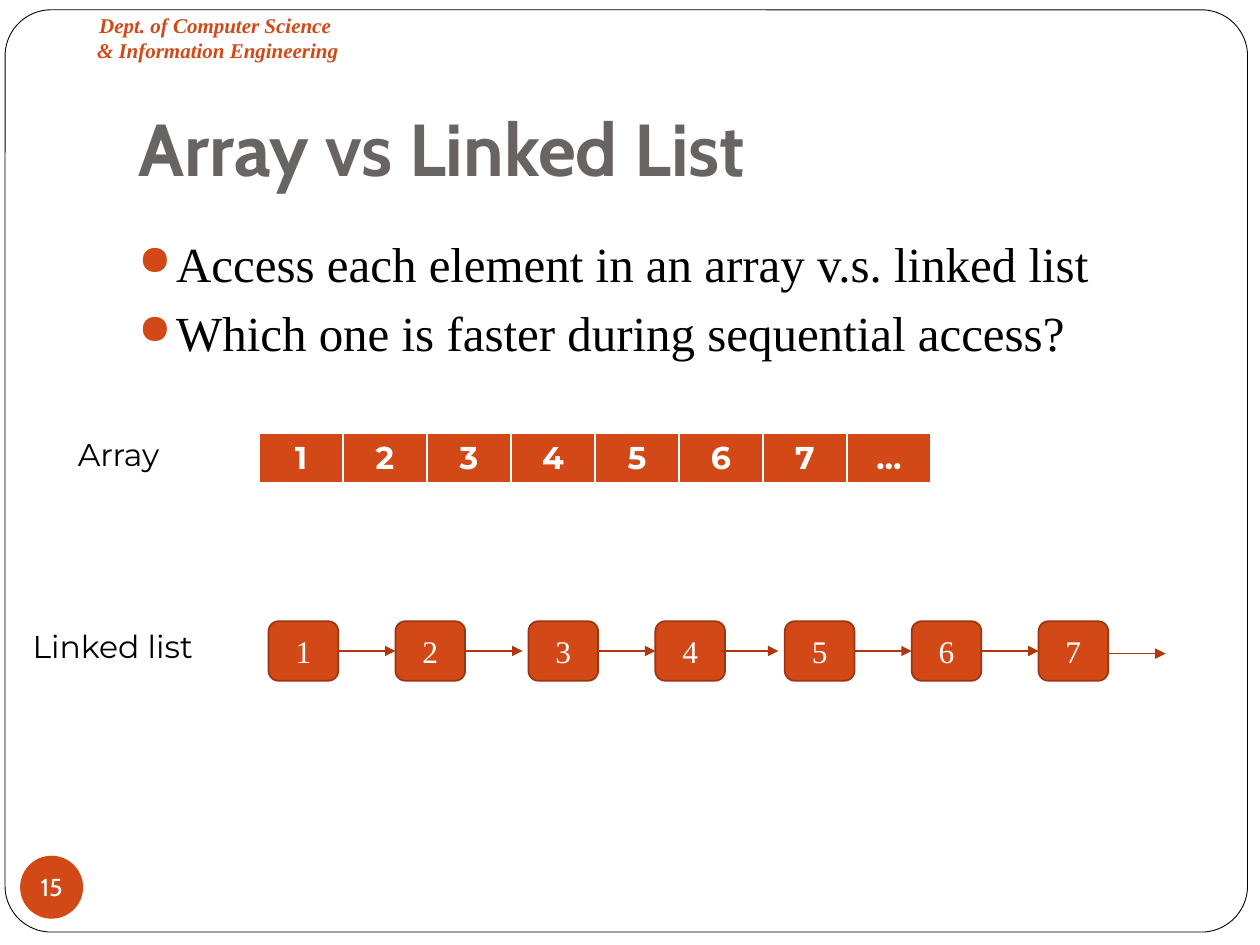
"""Build the slide comparing an array with a linked list."""
from lxml.etree import SubElement
from pptx import Presentation
from pptx.dml.color import RGBColor
from pptx.enum.shapes import MSO_CONNECTOR, MSO_SHAPE
from pptx.enum.text import MSO_ANCHOR, MSO_AUTO_SIZE, PP_ALIGN
from pptx.oxml.ns import qn
from pptx.util import Pt

ORANGE = RGBColor(0xD3, 0x48, 0x17)
NODE_EDGE = RGBColor(0x9C, 0x35, 0x11)
ARROW = RGBColor(0xB1, 0x36, 0x0B)
GRAY = RGBColor(0x69, 0x64, 0x64)
BLACK = RGBColor(0, 0, 0)
WHITE = RGBColor(0xFF, 0xFF, 0xFF)
SERIF = "Times New Roman"


def add_run(paragraph, text, font, size, color, bold=False):
    run = paragraph.add_run()
    run.text = text
    run.font.name = font
    run.font.size = Pt(size)
    run.font.color.rgb = color
    run.font.bold = bold
    return run


def add_panel(kind, left, top, width, height, fill):
    panel = slide.shapes.add_shape(kind, Pt(left), Pt(top), Pt(width), Pt(height))
    panel.shadow.inherit = False
    panel.fill.solid()
    panel.fill.fore_color.rgb = fill
    return panel


prs = Presentation()
prs.slide_width, prs.slide_height = Pt(720), Pt(540)
slide = prs.slides.add_slide(prs.slide_layouts[6])

border = add_panel(MSO_SHAPE.ROUNDED_RECTANGLE, 2.9, 5.6, 710, 527, WHITE)
border.adjustments[0] = 0.05
border.line.color.rgb = BLACK
border.line.width = Pt(0.5)

department = slide.shapes.add_textbox(Pt(42.5), Pt(3.6), Pt(164), Pt(36)).text_frame
department.word_wrap = True
department.auto_size = MSO_AUTO_SIZE.SHAPE_TO_FIT_TEXT
department_lines = department.paragraphs[0]
department_lines.alignment = PP_ALIGN.CENTER
add_run(department_lines, "Dept. of Computer Science ", SERIF, 12, ORANGE, True).font.italic = True
department_lines.add_line_break()
add_run(department_lines, "& Information Engineering", SERIF, 12, ORANGE, True).font.italic = True

title = slide.shapes.add_textbox(Pt(72), Pt(36.7), Pt(612), Pt(80)).text_frame
title.word_wrap = True
title.vertical_anchor = MSO_ANCHOR.BOTTOM
title.margin_bottom = Pt(7.2)
add_run(title.paragraphs[0], "Array vs Linked List", "Cabin", 42, GRAY, True)

points = slide.shapes.add_textbox(Pt(72), Pt(125.3), Pt(612), Pt(111)).text_frame
points.word_wrap = True
points.margin_top = Pt(8)
for index, point in enumerate(["Access each element in an array v.s. linked list",
                               "Which one is faster during sequential access?"]):
    paragraph = points.add_paragraph() if index else points.paragraphs[0]
    if index:
        paragraph.space_before = Pt(5.8)
    properties = paragraph._p.get_or_add_pPr()
    properties.set("marL", str(Pt(21.6)))
    properties.set("indent", str(-Pt(21.6)))
    bullet_color = SubElement(properties, qn("a:buClr"))
    SubElement(bullet_color, qn("a:srgbClr"), val=str(ORANGE))
    SubElement(properties, qn("a:buSzPct"), val="85000")
    SubElement(properties, qn("a:buChar"), char="●")
    add_run(paragraph, point, SERIF, 28, BLACK)

page_badge = add_panel(MSO_SHAPE.OVAL, 11.5, 489, 36, 36, ORANGE)
page_badge.line.fill.background()
page_number = page_badge.text_frame
page_number.word_wrap = False
page_number.margin_left = page_number.margin_right = 0
page_number.margin_top = page_number.margin_bottom = 0
page_number.vertical_anchor = MSO_ANCHOR.MIDDLE
page_number.paragraphs[0].alignment = PP_ALIGN.CENTER
add_run(page_number.paragraphs[0], "15", "Cabin", 14, WHITE)

array_items = ["1", "2", "3", "4", "5", "6", "7", "…"]
array = slide.shapes.add_table(1, len(array_items), Pt(148), Pt(247.5), Pt(384), Pt(29.2)).table
for cell, item in zip(array.rows[0].cells, array_items):
    cell_properties = cell._tc.get_or_add_tcPr()
    for side, width in [("lnL", 1), ("lnR", 1), ("lnT", 1), ("lnB", 3)]:
        edge = SubElement(cell_properties, qn(f"a:{side}"), w=str(Pt(width)))
        edge_fill = SubElement(edge, qn("a:solidFill"))
        SubElement(edge_fill, qn("a:srgbClr"), val=str(WHITE))
    cell.fill.solid()
    cell.fill.fore_color.rgb = ORANGE
    paragraph = cell.text_frame.paragraphs[0]
    paragraph.alignment = PP_ALIGN.CENTER
    add_run(paragraph, item, "Montserrat", 18, WHITE, True)

node_lefts = [153.5, 226, 302, 374.5, 448.5, 521, 593.5]
node_width, node_top, node_height = 39.8, 355, 34
nodes = []
for number, left in enumerate(node_lefts, 1):
    node = add_panel(MSO_SHAPE.ROUNDED_RECTANGLE, left, node_top, node_width, node_height, ORANGE)
    node.line.color.rgb = NODE_EDGE
    node.line.width = Pt(1)
    node.text_frame.vertical_anchor = MSO_ANCHOR.MIDDLE
    node.text_frame.paragraphs[0].alignment = PP_ALIGN.CENTER
    add_run(node.text_frame.paragraphs[0], str(number), SERIF, 18, WHITE)
    nodes.append(node)

middle = node_top + node_height / 2
link_length = 32.8
link_starts = [left + node_width for left in node_lefts]
link_starts[3] = 412
for index, start in enumerate(link_starts):
    level = middle + 1.5 if index == 6 else middle
    link = slide.shapes.add_connector(
        MSO_CONNECTOR.STRAIGHT, Pt(start), Pt(level), Pt(start + link_length), Pt(level))
    if index not in (3, 6):
        link.begin_connect(nodes[index], 3)
    if index not in (1, 3, 6):
        link.end_connect(nodes[index + 1], 1)
    link.line.color.rgb = ARROW
    link.line.width = Pt(0.75)
    SubElement(link.line._get_or_add_ln(), qn("a:tailEnd"), type="triangle")
    SubElement(link._element.spPr, qn("a:effectLst"))

for caption, left, top, width in [("Array", 37.4, 244.8, 69), ("Linked list", 11.5, 354.5, 118)]:
    label = slide.shapes.add_textbox(Pt(left), Pt(top), Pt(width), Pt(29)).text_frame
    label.word_wrap = False
    label.auto_size = MSO_AUTO_SIZE.SHAPE_TO_FIT_TEXT
    add_run(label.paragraphs[0], caption, "Montserrat", 18, BLACK)

prs.save("out.pptx")
